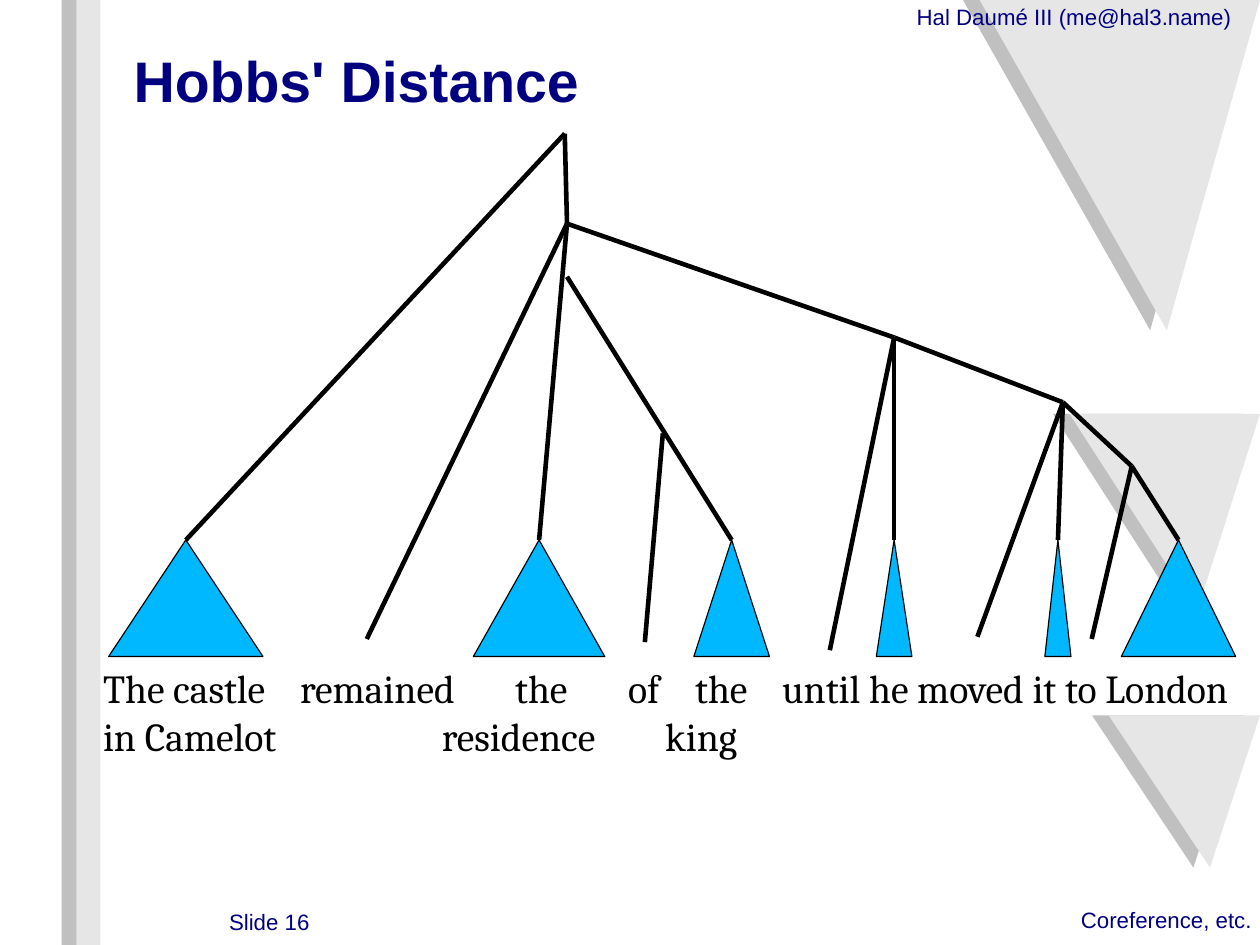
from lxml.etree import SubElement
from pptx import Presentation
from pptx.dml.color import RGBColor
from pptx.enum.shapes import MSO_CONNECTOR as CONNECTOR, MSO_SHAPE as SHAPE
from pptx.enum.text import MSO_ANCHOR as ANCHOR, PP_ALIGN as ALIGN
from pptx.oxml.ns import qn
from pptx.util import Cm, Pt

WIDTH, HEIGHT = 28, 21
COLORS = {"navy": "000080", "black": "000000", "shade": "C0C0C0",
          "pale": "E6E6E6", "blue": "00B8FF"}


class TreeSlide:
    """Holds the style and the current slide; all lengths are in cm."""

    def __init__(self, slide):
        self.shapes = slide.shapes

    def color(self, name):
        return RGBColor.from_string(COLORS[name])

    def paint(self, shape, fill, outline=None):
        shape.shadow.inherit = False
        shape.fill.solid()
        shape.fill.fore_color.rgb = self.color(fill)
        if outline:
            shape.line.color.rgb = self.color(outline)
            shape.line.width = Pt(0)
        else:
            shape.line.fill.background()

    def bar(self, left, width, fill):
        bar = self.shapes.add_shape(SHAPE.RECTANGLE, Cm(left), 0, Cm(width), Cm(HEIGHT))
        self.paint(bar, fill)

    def wedge(self, left, top, tip_x, tip_y, right, fill):
        outline = self.shapes.build_freeform(Cm(left), Cm(top))
        outline.add_line_segments([(Cm(tip_x), Cm(tip_y)), (Cm(right), Cm(top))])
        self.paint(outline.convert_to_shape(), fill)

    def phrase(self, apex, top, width, height):
        triangle = self.shapes.add_shape(SHAPE.ISOSCELES_TRIANGLE, Cm(apex - width / 2),
                                         Cm(top), Cm(width), Cm(height))
        self.paint(triangle, "blue", "black")

    def branch(self, start, end):
        line = self.shapes.add_connector(CONNECTOR.STRAIGHT, *map(Cm, start + end))
        line.line.color.rgb = self.color("black")
        line.line.width = Pt(2.89)
        SubElement(line._element.spPr, qn("a:effectLst"))

    def text(self, box, lines, size, font="Arial", color="navy", bold=False,
             align=ALIGN.LEFT, anchor=ANCHOR.TOP, tabs=()):
        frame = self.shapes.add_textbox(*map(Cm, box)).text_frame
        frame.margin_left = frame.margin_right = frame.margin_top = frame.margin_bottom = 0
        frame.word_wrap = True
        frame.vertical_anchor = anchor
        frame.text = "\n".join(lines)
        for paragraph, stops in zip(frame.paragraphs, tabs):
            tab_list = SubElement(paragraph._p.get_or_add_pPr(), qn("a:tabLst"))
            for stop in stops:
                SubElement(tab_list, qn("a:tab"), pos=str(Cm(stop)), algn="l")
        for paragraph in frame.paragraphs:
            paragraph.alignment = align
            paragraph.font.name = font
            paragraph.font.size = Pt(size)
            paragraph.font.bold = bold
            paragraph.font.color.rgb = self.color(color)


def main():
    deck = Presentation()
    deck.slide_width, deck.slide_height = Cm(WIDTH), Cm(HEIGHT)
    page = TreeSlide(deck.slides.add_slide(deck.slide_layouts[6]))

    # Background wedges, shaded ones behind, and side bars
    wedges = [(21.77, 0, 25.93, 7.34), (23.77, 9.2, 26.6, 13.59), (24.64, 15.9, 26.89, 19.28)]
    for shift, fill in ((0.37, "shade"), (0, "pale")):
        for left, top, tip_x, tip_y in wedges:
            page.wedge(left - shift, top, tip_x - shift, tip_y, WIDTH - shift, fill)
    page.bar(1.37, 0.53, "shade")
    page.bar(1.7, 0.53, "pale")

    # Header, footer and title
    page.text((20.37, 0.08, 7.3, 0.62), ["Hal Daumé III (me@hal3.name)"], 14)
    page.text((24.02, 20.14, 3.98, 0.62), ["Coreference, etc."], 14)
    page.text((2.39, 20.18, 4.49, 0.62), ["Slide 16"], 14, align=ALIGN.RIGHT)
    page.text((2.97, 0.74, 22.58, 2.06), ["Hobbs' Distance"], 36, bold=True,
              anchor=ANCHOR.MIDDLE)

    # Sentence below the tree
    page.text((2.29, 14.76, 25.5, 1.96),
              ["The castle\tremained\tthe\tof\tthe\tuntil he moved it to London",
               "in Camelot\tresidence\tking"],
              25, font="Cambria", color="black",
              tabs=[(4.38, 9.16, 11.67, 13.16, 15.09), (7.53, 12.49)])

    # Phrase triangles: apex and width
    phrase_top, phrase_height = 12, 2.59
    phrases = {"castle": (4.13, 3.43), "residence": (11.98, 2.92), "king": (16.26, 1.68),
               "he": (19.87, 0.79), "it": (23.51, 0.58), "London": (26.19, 2.54)}
    for apex, width in phrases.values():
        page.phrase(apex, phrase_top, width, phrase_height)

    # Tree nodes, word ends and branches
    nodes = {"root": (12.55, 2.97), "main verb": (12.6, 4.97), "object": (12.6, 6.15),
             "of phrase": (14.73, 9.63), "until clause": (19.87, 7.5),
             "moved phrase": (23.62, 8.94), "to phrase": (25.15, 10.36),
             "remained": (8.15, 14.2), "of": (14.33, 14.27), "until": (18.44, 14.45),
             "moved": (21.72, 14.15), "to": (24.26, 14.2)}
    nodes.update({name: (apex, phrase_top) for name, (apex, _) in phrases.items()})
    tree = {"root": ["castle", "main verb"],
            "main verb": ["remained", "residence", "until clause"],
            "object": ["king"],
            "of phrase": ["of"],
            "until clause": ["until", "he", "moved phrase"],
            "moved phrase": ["moved", "it", "to phrase"],
            "to phrase": ["to", "London"]}
    for parent, children in tree.items():
        for child in children:
            page.branch(nodes[parent], nodes[child])

    deck.save("out.pptx")


if __name__ == "__main__":
    main()
